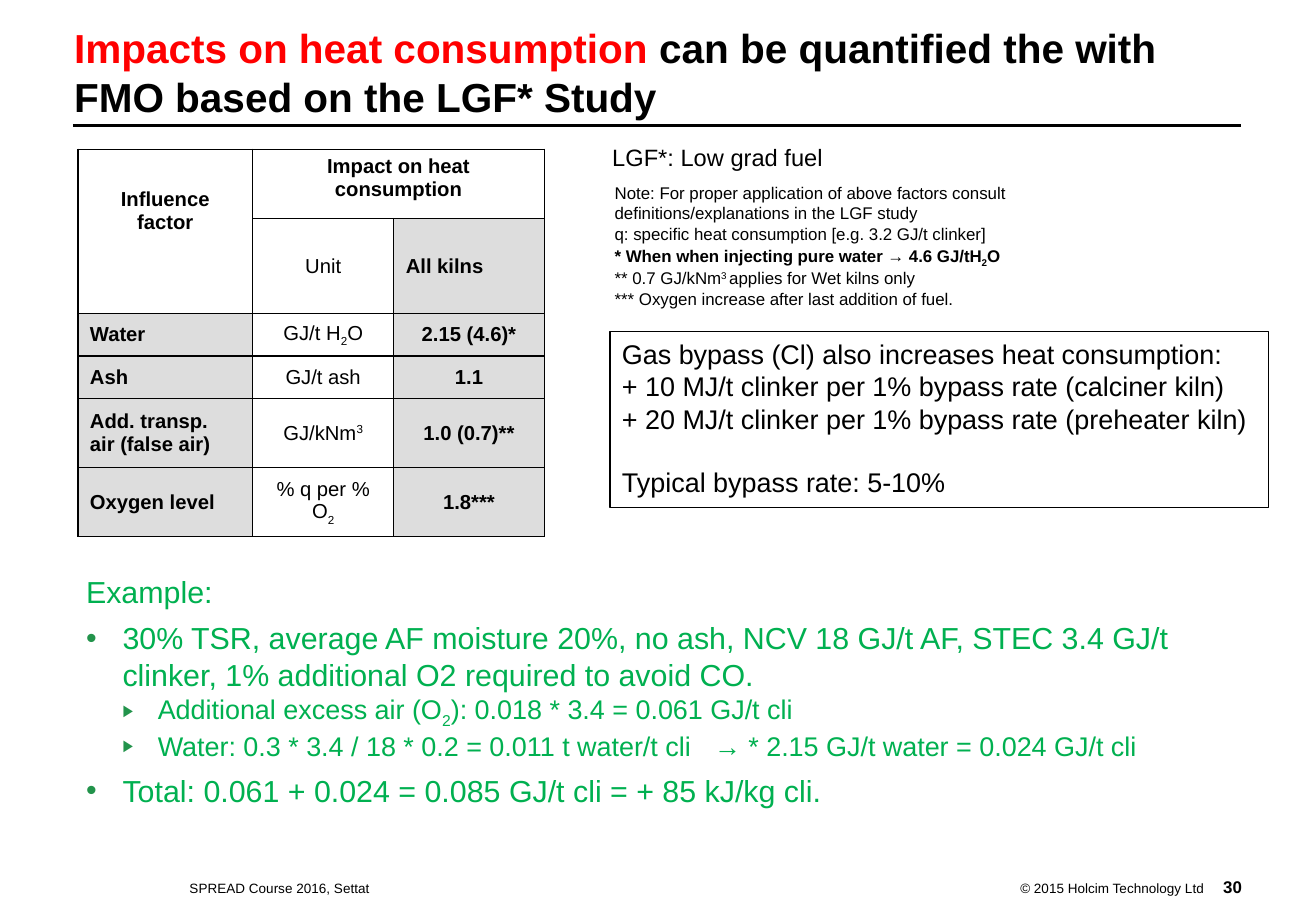
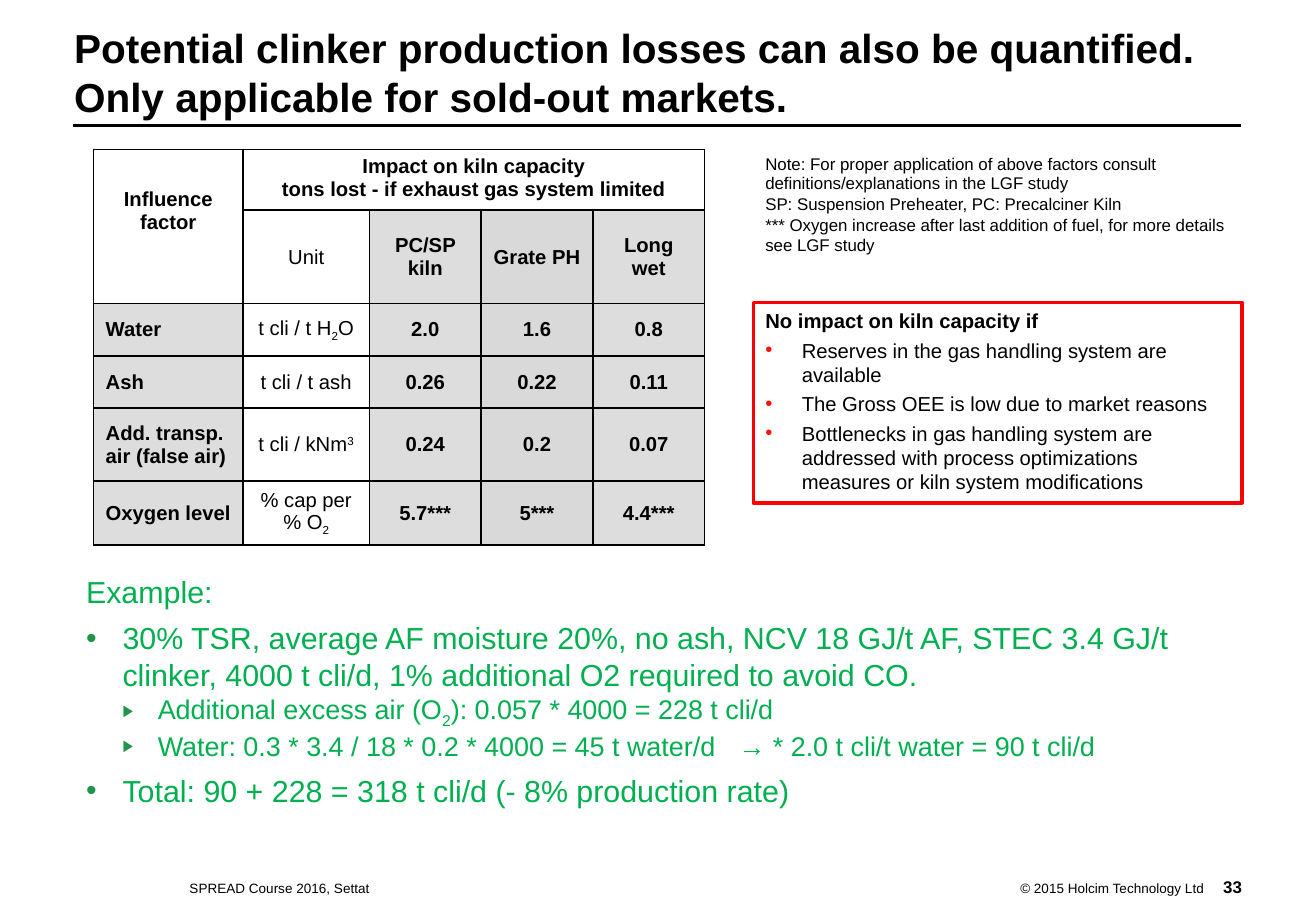
from lxml import etree
from pptx import Presentation
from pptx import util as u
from pptx.dml.color import RGBColor
from pptx.enum import shapes, text
from pptx.oxml import ns

# Shared style
FONT = "Arial"
BLACK = RGBColor(0x00, 0x00, 0x00)
RED = RGBColor(0xFF, 0x00, 0x00)
GREEN = RGBColor(0x00, 0xB0, 0x50)
BULLET_GREEN = RGBColor(0x22, 0x93, 0x4B)
BULLET_RED = RGBColor(0xFF, 0x11, 0x00)
GREY = RGBColor(0xDD, 0xDD, 0xDD)
MID_GREY = RGBColor(0xD9, 0xD9, 0xD9)
CELL = 0.1  # grid step in inches, for columns and rows alike
INSETS = (1, 0.5, 1, 0.5)
FLUSH = (0, 0, 0, 0)
LEFT, CENTER, RIGHT = (text.PP_ALIGN.LEFT, text.PP_ALIGN.CENTER,
                       text.PP_ALIGN.RIGHT)
TOP, MIDDLE, BOTTOM = (text.MSO_ANCHOR.TOP, text.MSO_ANCHOR.MIDDLE,
                       text.MSO_ANCHOR.BOTTOM)


def grid(steps):
    return u.Inches(steps * CELL)


def sub(chars):
    return chars, {"baseline": -25000}


def sup(chars):
    return chars, {"baseline": 30000}


def bold(chars):
    return chars, {"bold": True}


def add_xml(parent, tag, **attributes):
    return etree.SubElement(parent, ns.qn(tag), attributes)


class Deck:
    """Holds the style and the slide being built."""

    def __init__(self):
        self.prs = Presentation()
        self.prs.slide_width, self.prs.slide_height = grid(108.3), grid(75)
        self.slide = None

    def new_slide(self, number, title):
        self.slide = self.prs.slides.add_slide(self.prs.slide_layouts[6])
        # Title and rule
        self.text((6.1, 1.3, 96, 8.7), [title], size=24, bold=True,
                  insets=(0, 0, 0, 0.1), anchor=BOTTOM)
        self.rule(6, 102.1, 10.3)
        # Footer
        self.text((15.6, 72.5, 38.6, 1.3), ["SPREAD Course 2016, Settat"],
                  size=8, insets=FLUSH, anchor=BOTTOM)
        self.text((80, 72.5, 19.1, 1.3), ["© 2015 Holcim Technology Ltd"],
                  size=8, insets=FLUSH, anchor=BOTTOM, align=RIGHT)
        self.text((99.8, 72.1, 2.4, 1.6), [str(number)], size=10, bold=True,
                  insets=(0, 0.1, 0, 0), align=RIGHT)

    def rule(self, left, right, row):
        line = self.slide.shapes.add_connector(
            shapes.MSO_CONNECTOR.STRAIGHT, grid(left), grid(row),
            grid(right), grid(row))
        line.line.color.rgb = BLACK
        line.line.width = u.Pt(1.75)
        add_xml(line._element.spPr, "a:effectLst")

    def paragraph(self, para, runs, size, color=BLACK, bold=False,
                  align=LEFT, before=0, spacing=None):
        para.alignment = align
        para.space_before = u.Pt(before)
        if spacing:
            para.line_spacing = spacing
        for item in [runs] if isinstance(runs, (str, tuple)) else runs:
            words, style = (item, {}) if isinstance(item, str) else item
            for i, part in enumerate(words.split("\n")):
                if i:
                    para.add_line_break()
                run = para.add_run()
                run.text = part
                run.font.name = FONT
                run.font.size = u.Pt(size)
                run.font.bold = style.get("bold", bold)
                run.font.color.rgb = style.get("color", color)
                for key in ("baseline", "spc"):
                    if key in style:
                        run._r.get_or_add_rPr().set(key, str(style[key]))

    def bullet(self, para, char, color, left, hang, percent=100):
        props = para._p.get_or_add_pPr()
        props.set("marL", str(grid(left)))
        props.set("indent", str(-grid(hang)))
        add_xml(add_xml(props, "a:buClr"), "a:srgbClr", val=str(color))
        add_xml(props, "a:buSzPct", val=str(percent * 1000))
        add_xml(props, "a:buFont", typeface=FONT)
        add_xml(props, "a:buChar", char=char)

    def frame(self, shape, insets, anchor):
        frame = shape.text_frame
        frame.word_wrap = True
        frame.vertical_anchor = anchor
        (frame.margin_left, frame.margin_top, frame.margin_right,
         frame.margin_bottom) = map(grid, insets)
        return frame

    def fill_frame(self, frame, lines, before=0, **style):
        for i, runs in enumerate(lines):
            para = frame.add_paragraph() if i else frame.paragraphs[0]
            self.paragraph(para, runs, before=before if i else 0, **style)

    def text(self, at, lines, insets=INSETS, anchor=TOP, **style):
        box = self.slide.shapes.add_textbox(*map(grid, at))
        self.fill_frame(self.frame(box, insets, anchor), lines, **style)

    def panel(self, at, color, width):
        box = self.slide.shapes.add_shape(shapes.MSO_SHAPE.RECTANGLE,
                                          *map(grid, at))
        box.shadow.inherit = False
        box.fill.background()
        box.line.color.rgb = color
        box.line.width = u.Pt(width)
        return self.frame(box, INSETS, TOP)

    def notes(self, at, lines):
        self.text(at, lines, size=10, before=1, spacing=0.95)

    def example(self, premise, steps, total):
        box = self.slide.shapes.add_textbox(
            *map(grid, (6.1, 46.7, 96.1, 21.5)))
        frame = self.frame(box, INSETS, TOP)
        self.paragraph(frame.paragraphs[0], "Example:", 18, GREEN)
        for runs, is_step in ([(premise, False)]
                              + [(step, True) for step in steps]
                              + [(total, False)]):
            para = frame.add_paragraph()
            if is_step:
                para.level = 1
                self.bullet(para, "▶", BULLET_GREEN, 5.9, 2.9, 60)
            else:
                self.bullet(para, "•", BULLET_GREEN, 3, 3)
            self.paragraph(para, runs, 16 if is_step else 18, GREEN,
                           before=0.2 if is_step else 5.8)

    def factor_table(self, left, widths, heights, heading, kilns, factors,
                     kiln_align=CENTER):
        """Factors by row; unit in column 1, one column for each kiln."""
        rows = [["Influence factor", heading], ["", "Unit", *kilns], *factors]
        table = self.slide.shapes.add_table(
            len(rows), len(widths), grid(left), grid(12.3),
            grid(sum(widths)), grid(sum(heights))).table
        table.first_row = table.horz_banding = False
        for column, width in zip(table.columns, widths):
            column.width = grid(width)
        for row, height in zip(table.rows, heights):
            row.height = grid(height)
        for r in range(len(rows)):
            for c in range(len(widths)):
                cell = table.cell(r, c)
                self.borders(cell)
                cell.vertical_anchor = MIDDLE if r else TOP
                if r == 0 or c == 1 or (r, c) == (1, 0):
                    cell.fill.background()
                else:
                    cell.fill.solid()
                    cell.fill.fore_color.rgb = MID_GREY if c == 3 else GREY
                if c < len(rows[r]) and rows[r][c]:
                    align = CENTER
                    if c == 0 and r > 1:
                        align = LEFT
                    elif r == 1 and c > 1:
                        align = kiln_align
                    self.paragraph(cell.text_frame.paragraphs[0], rows[r][c],
                                   12, bold=c != 1 or r == 0, align=align)
        table.cell(0, 0).margin_top = grid(3.2)
        table.cell(0, 0).merge(table.cell(1, 0))
        table.cell(0, 1).merge(table.cell(0, len(widths) - 1))

    def borders(self, cell):
        props = cell._tc.get_or_add_tcPr()
        for side in "LRTB":
            line = add_xml(props, "a:ln" + side, w=str(u.Pt(1)))
            add_xml(add_xml(line, "a:solidFill"), "a:srgbClr", val=str(BLACK))


NOTE = ("Note: For proper application of above factors consult "
        "definitions/explanations in the LGF study")
FALSE_AIR = "Add. transp.\nair (false air)"
PREMISE = "30% TSR, average AF moisture 20%, no ash, NCV 18 GJ/t AF, STEC 3.4 GJ/t clinker, "
OXYGEN_NEED = "1% additional O2 required to avoid CO."
WIDE_SPACE = (" ", {"spc": 890})


def heat_slide(deck):
    deck.new_slide(30, [
        ("Impacts on heat consumption ", {"color": RED}),
        "can be quantified the with FMO based on the LGF* Study"])
    deck.factor_table(
        6.4, (14.4, 11.6, 12.4), (5.7, 7.8, 3.5, 3.5, 5.7, 5.7),
        "Impact on heat consumption", ["All kilns"],
        [["Water", ["GJ/t H", sub("2"), "O"], "2.15 (4.6)*"],
         ["Ash", "GJ/t ash", "1.1"],
         [FALSE_AIR, ["GJ/kNm", sup("3")], "1.0 (0.7)**"],
         ["Oxygen level", ["% q per % O", sub("2")], "1.8***"]],
        kiln_align=LEFT)
    # Notes
    deck.text((49.4, 11.3, 21, 3.4), ["LGF*: Low grad fuel"], size=14)
    deck.notes((49.6, 14.7, 42.1, 11.3), [
        NOTE,
        "q: specific heat consumption [e.g. 3.2 GJ/t clinker]",
        [bold("* When when injecting pure water → 4.6 GJ/tH"),
         ("2", {"baseline": -25000, "bold": True}), bold("O")],
        ["** 0.7 GJ/kNm", sup("3 "), "applies for Wet kilns only"],
        "*** Oxygen increase after last addition of fuel."])
    # Gas bypass
    bypass = deck.panel((50.2, 27.3, 54.2, 14.5), BLACK, 0.75)
    deck.fill_frame(bypass, [
        "Gas bypass (Cl) also increases heat consumption:",
        "+ 10 MJ/t clinker per 1% bypass rate (calciner kiln)",
        "+ 20 MJ/t clinker per 1% bypass rate (preheater kiln)"], size=16)
    deck.paragraph(bypass.add_paragraph(), "Typical bypass rate: 5-10%", 16,
                   before=18.5)
    deck.example(
        PREMISE + OXYGEN_NEED,
        [["Additional excess air (O", sub("2"),
          "): 0.018 * 3.4 = 0.061 GJ/t cli"],
         ["Water: 0.3 * 3.4 / 18 * 0.2 = 0.011 t water/t cli", WIDE_SPACE,
          "→ * 2.15 GJ/t water = 0.024 GJ/t cli"]],
        "Total: 0.061 + 0.024 = 0.085 GJ/t cli = + 85 kJ/kg cli.")


def capacity_slide(deck):
    deck.new_slide(33, "Potential clinker production losses can also be "
                       "quantified.\nOnly applicable for sold-out markets.")
    deck.factor_table(
        7.7, (12.3, 10.4, 9.2, 9.2, 9.2), (4.9, 7.4, 4.3, 4.3, 6, 5),
        "Impact on kiln capacity\ntons lost - if exhaust gas system limited",
        ["PC/SP kiln", "Grate PH", "Long wet"],
        [["Water", ["t cli / t H", sub("2"), "O"], "2.0", "1.6", "0.8"],
         ["Ash", "t cli / t ash", "0.26", "0.22", "0.11"],
         [FALSE_AIR, ["t cli / kNm", sup("3")], "0.24", "0.2", "0.07"],
         ["Oxygen level", ["% cap per % O", sub("2")],
          "5.7***", "5***", "4.4***"]])
    deck.notes((62, 12.3, 40, 9.3), [
        NOTE,
        "SP: Suspension Preheater, PC: Precalciner Kiln",
        "*** Oxygen increase after last addition of fuel, for more details "
        "see LGF study"])
    # Exceptions
    exceptions = deck.panel((62, 24.9, 40.2, 16.5), RED, 2.25)
    deck.paragraph(exceptions.paragraphs[0],
                   bold("No impact on kiln capacity if"), 12)
    for reason in (
            "Reserves in the gas handling system are available",
            "The Gross OEE is low due to market reasons",
            "Bottlenecks in gas handling system are addressed with process "
            "optimizations measures or kiln system modifications"):
        para = exceptions.add_paragraph()
        deck.bullet(para, "•", BULLET_RED, 3, 3)
        deck.paragraph(para, reason, 12, before=3)
    deck.example(
        PREMISE + "4000 t cli/d, " + OXYGEN_NEED,
        [["Additional excess air (O", sub("2"),
          "): 0.057 * 4000 = 228 t cli/d"],
         ["Water: 0.3 * 3.4 / 18 * 0.2 * 4000 = 45 t water/d", WIDE_SPACE,
          "→ * 2.0 t cli/t water = 90 t cli/d"]],
        "Total: 90 + 228 = 318 t cli/d (- 8% production rate)")


def main():
    deck = Deck()
    heat_slide(deck)
    capacity_slide(deck)
    deck.prs.save("out.pptx")


if __name__ == "__main__":
    main()
